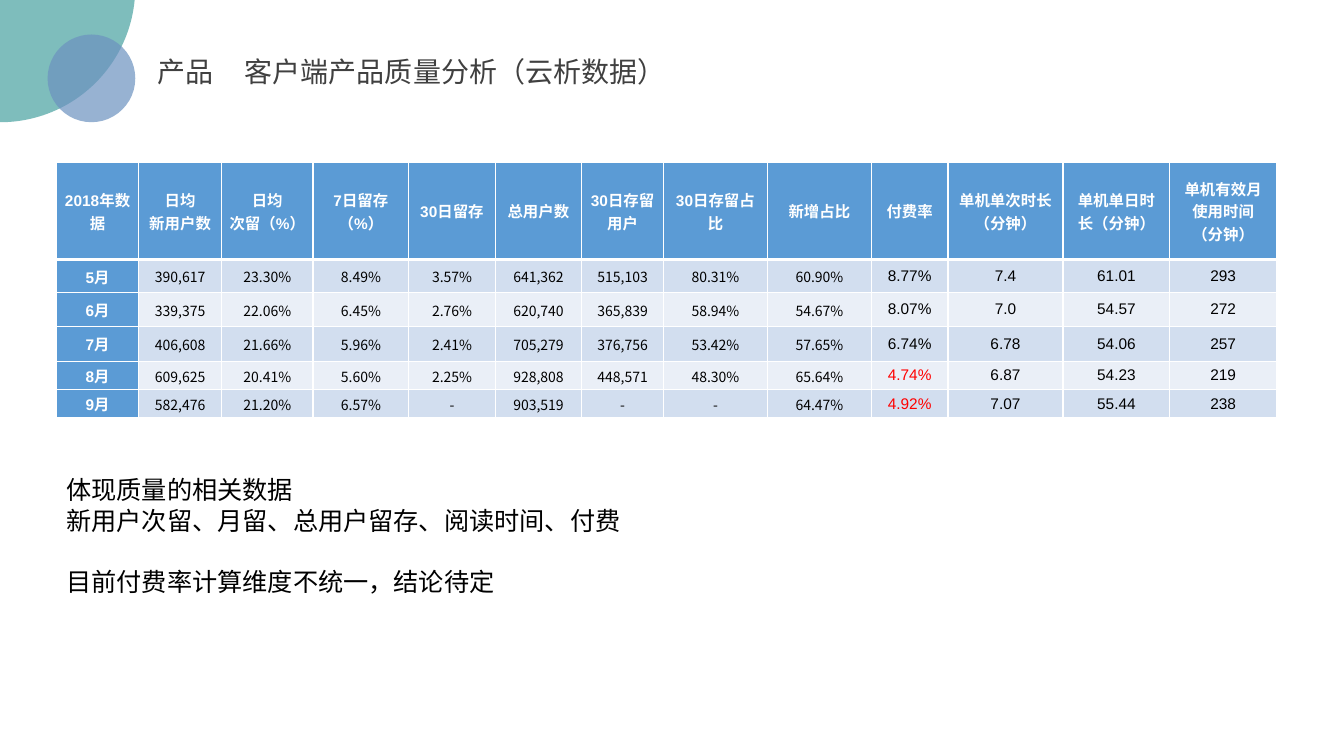
from lxml.etree import SubElement
from pptx import Presentation
from pptx.dml.color import RGBColor
from pptx.enum.shapes import MSO_SHAPE as Preset
from pptx.enum.text import MSO_ANCHOR as Anchor, MSO_AUTO_SIZE as AutoSize, PP_ALIGN as Align
from pptx.oxml.ns import qn
from pptx.util import Cm, Pt

TEAL = RGBColor(0x48, 0xA2, 0xA0)
SLATE = RGBColor(0x6C, 0x92, 0xC0)
CHARCOAL = RGBColor(0x40, 0x40, 0x40)
BLUE = RGBColor(0x5B, 0x9B, 0xD5)
BANDS = (RGBColor(0xD2, 0xDE, 0xEF), RGBColor(0xEA, 0xEF, 0xF7))
WHITE = RGBColor(0xFF, 0xFF, 0xFF)
BLACK = RGBColor(0, 0, 0)
RED = RGBColor(0xFF, 0, 0)
CJK = "Noto Sans CJK SC"

HEADINGS = (
    "2018年数据", "日均\n新用户数", "日均\n次留（%）", "7日留存（%）", "30日留存",
    "总用户数", "30日存留用户", "30日存留占比", "新增占比", "付费率",
    "单机单次时长（分钟）", "单机单日时长（分钟）", "单机有效月使用时间（分钟）",
)
MONTHS = (
    ("5月", "390,617", "23.30%", "8.49%", "3.57%", "641,362", "515,103",
     "80.31%", "60.90%", "8.77%", "7.4", "61.01", "293"),
    ("6月", "339,375", "22.06%", "6.45%", "2.76%", "620,740", "365,839",
     "58.94%", "54.67%", "8.07%", "7.0", "54.57", "272"),
    ("7月", "406,608", "21.66%", "5.96%", "2.41%", "705,279", "376,756",
     "53.42%", "57.65%", "6.74%", "6.78", "54.06", "257"),
    ("8月", "609,625", "20.41%", "5.60%", "2.25%", "928,808", "448,571",
     "48.30%", "65.64%", "4.74%", "6.87", "54.23", "219"),
    ("9月", "582,476", "21.20%", "6.57%", "-", "903,519", "-",
     "-", "64.47%", "4.92%", "7.07", "55.44", "238"),
)
LOW_PAY_RATES = ("4.74%", "4.92%")
PAY_RATE_COLUMN = 9
COLUMN_WIDTHS = (2.08, 2.08, 2.31, 2.41, 2.18, 2.18, 2.06, 2.62, 2.62, 1.93, 2.9, 2.69, 2.69)
ROW_HEIGHTS = (2.44, 0.84, 0.84, 0.89, 0.71, 0.71)


def write(paragraph, words, size, color, latin, east_asian=CJK, bold=False):
    run = paragraph.add_run()
    run.text = words
    run.font.size = Pt(size)
    run.font.bold = bold
    run.font.color.rgb = color
    run.font.name = latin
    SubElement(run.font._element, qn("a:ea"), typeface=east_asian)


def corner_circles(slide, left, top):
    for dx, dy, diameter, color in ((0, 0, 6.81, TEAL), (4.6, 4.6, 2.21, SLATE)):
        circle = slide.shapes.add_shape(
            Preset.OVAL, Cm(left + dx), Cm(top + dy), Cm(diameter), Cm(diameter))
        circle.shadow.inherit = False
        circle.fill.solid()
        circle.fill.fore_color.rgb = color
        tint = circle._element.spPr.find(qn("a:solidFill"))[0]
        SubElement(tint, qn("a:alpha"), val="70000")
        circle.line.fill.background()


def heading(slide, left, top, width, height):
    frame = slide.shapes.add_textbox(Cm(left), Cm(top), Cm(width), Cm(height)).text_frame
    frame.word_wrap = False
    frame.auto_size = AutoSize.SHAPE_TO_FIT_TEXT
    title = frame.paragraphs[0]
    tabs = SubElement(title._p.get_or_add_pPr(), qn("a:tabLst"))
    SubElement(tabs, qn("a:tab"), pos=str(Cm(2.19)), algn="l")
    write(title, "产品\t客户端产品质量分析（云析数据）", 20, CHARCOAL, CJK)


def border(cell, side, points):
    line = SubElement(cell._tc.get_or_add_tcPr(), qn(f"a:ln{side}"), w=str(Pt(points)))
    SubElement(SubElement(line, qn("a:solidFill")), qn("a:srgbClr"), val=str(WHITE))


def fill_cell(cell, words, row, column):
    labelled = row == 0 or column == 0
    compact = not labelled and column < PAY_RATE_COLUMN
    for side in "LRTB":
        under_header = (row, side) in ((0, "B"), (1, "T"))
        border(cell, side, 3 if under_header else 1)
    cell.fill.solid()
    cell.fill.fore_color.rgb = BLUE if labelled else BANDS[(row - 1) % 2]
    cell.vertical_anchor = Anchor.MIDDLE
    cell.margin_left = cell.margin_right = Cm(0.03 if compact else 0.18)
    cell.margin_top = Cm(0.03 if compact else 0)
    cell.margin_bottom = 0

    if labelled:
        color = WHITE
    else:
        color = RED if words in LOW_PAY_RATES else BLACK
    frame = cell.text_frame
    for index, line in enumerate(words.split("\n")):
        paragraph = frame.add_paragraph() if index else frame.paragraphs[0]
        paragraph.alignment = Align.CENTER
        write(paragraph, line, 10 if compact else 11, color,
              CJK if compact else "Arial", bold=labelled)


def quality_table(slide, left, top):
    records = (HEADINGS,) + MONTHS
    table = slide.shapes.add_table(
        len(records), len(HEADINGS), Cm(left), Cm(top),
        Cm(sum(COLUMN_WIDTHS)), Cm(sum(ROW_HEIGHTS))).table
    for column, width in zip(table.columns, COLUMN_WIDTHS):
        column.width = Cm(width)
    for row, height in zip(table.rows, ROW_HEIGHTS):
        row.height = Cm(height)
    for r, record in enumerate(records):
        for c, words in enumerate(record):
            fill_cell(table.cell(r, c), words, r, c)


def conclusions(slide, left, top, width, height):
    frame = slide.shapes.add_textbox(Cm(left), Cm(top), Cm(width), Cm(height)).text_frame
    frame.word_wrap = True
    remarks = (
        ("体现质量的相关数据", 0),
        ("新用户次留、月留、总用户留存、阅读时间、付费", 0),
        ("目前付费率计算维度不统一，结论待定", 22),
    )
    for index, (remark, gap) in enumerate(remarks):
        paragraph = frame.add_paragraph() if index else frame.paragraphs[0]
        if gap:
            paragraph.space_before = Pt(gap)
        write(paragraph, remark, 18, BLACK, "Calibri", "Calibri")


def main():
    deck = Presentation()
    deck.slide_width, deck.slide_height = Cm(33.87), Cm(19.05)
    slide = deck.slides.add_slide(deck.slide_layouts[6])
    corner_circles(slide, -3.4, -3.73)
    heading(slide, 3.73, 1.24, 13.67, 1.12)
    conclusions(slide, 1.42, 11.84, 16.43, 3.33)
    quality_table(slide, 1.42, 4.1)
    deck.save("out.pptx")


if __name__ == "__main__":
    main()
